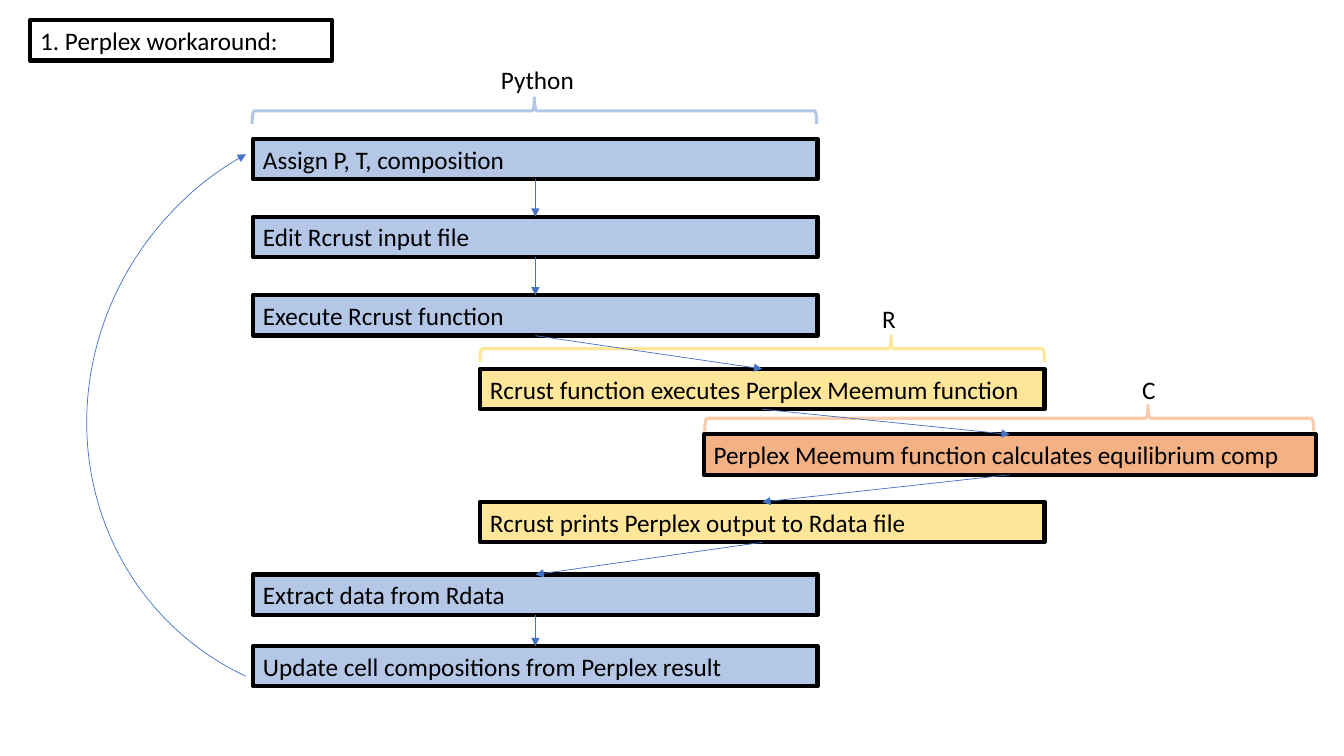
import pptx
import pptx.util
import pptx.dml.color
import pptx.enum.shapes
import pptx.enum.text
import lxml.etree
from pptx.util import Inches

BLUE, YELLOW, ORANGE, PEACH = "B4C7E7", "FFE699", "F4B183", "F8CBAD"
BLACK, ARROW = "000000", "4472C4"
ROW_HEIGHT = 0.4
DRAWING = "http://schemas.openxmlformats.org/drawingml/2006/main"


def set_line(shape, color, points, arrow=False):
    """Style an outline without shadow, optionally with an arrowhead at its end."""
    shape.line.color.rgb = pptx.dml.color.RGBColor.from_string(color)
    shape.line.width = pptx.util.Pt(points)
    if arrow:
        head = lxml.etree.SubElement(shape.line._get_or_add_ln(), f"{{{DRAWING}}}tailEnd")
        head.set("type", "triangle")


def add_text(page, text, left, top, width):
    box = page.shapes.add_textbox(Inches(left), Inches(top), Inches(width), Inches(ROW_HEIGHT))
    frame = box.text_frame
    frame.word_wrap = True
    frame.auto_size = pptx.enum.text.MSO_AUTO_SIZE.SHAPE_TO_FIT_TEXT
    span = frame.paragraphs[0].add_run()
    span.text = text
    for name, value in {"name": "Calibri", "size": pptx.util.Pt(18)}.items():
        setattr(span.font, name, value)
    span.font.color.rgb = pptx.dml.color.RGBColor.from_string(BLACK)
    return box


deck = pptx.Presentation()
deck.slide_width, deck.slide_height = Inches(13.33), Inches(7.5)
page = deck.slides.add_slide(deck.slide_layouts[6])

title = add_text(page, "1. Perplex workaround:", 0.3, 0.2, 2.99)
set_line(title, BLACK, 3)

# Each language has its own column: left, width, fill
columns = {"Python": (2.51, 5.6, BLUE), "R": (4.76, 5.6, YELLOW), "C": (6.98, 6.07, ORANGE)}
steps = [
    ("Python", 1.38, "Assign P, T, composition"),
    ("Python", 2.15, "Edit Rcrust input file"),
    ("Python", 2.93, "Execute Rcrust function"),
    ("R", 3.66, "Rcrust function executes Perplex Meemum function"),
    ("C", 4.31, "Perplex Meemum function calculates equilibrium comp"),
    ("R", 4.98, "Rcrust prints Perplex output to Rdata file"),
    ("Python", 5.7, "Extract data from Rdata"),
    ("Python", 6.41, "Update cell compositions from Perplex result"),
]
boxes = []
for language, top, text in steps:
    left, width, fill = columns[language]
    box = add_text(page, text, left, top, width)
    box.fill.solid()
    box.fill.fore_color.rgb = pptx.dml.color.RGBColor.from_string(fill)
    set_line(box, BLACK, 3)
    boxes.append(box)

# Braces turned to point up: left, top, length, colour, position of the point
braces = [
    (5.17, -1.7, 5.6, BLUE, 0.5),
    (7.43, 0.66, 5.6, YELLOW, 0.272),
    (9.88, 1.13, 6.04, PEACH, 0.272),
]
for left, top, length, color, point in braces:
    brace = page.shapes.add_shape(pptx.enum.shapes.MSO_SHAPE.LEFT_BRACE,
                                  Inches(left), Inches(top), Inches(0.26), Inches(length))
    brace.rotation = 90
    brace.adjustments[1] = point
    brace.fill.background()
    brace.shadow.inherit = False
    set_line(brace, color, 2.25)

for language, left, top, width in [("Python", 4.87, 0.59, 2.99), ("R", 8.65, 2.96, 2.99),
                                   ("C", 11.23, 3.66, 2.1)]:
    add_text(page, language, left, top, width)

for upper, lower in zip(boxes, boxes[1:]):
    link = page.shapes.add_connector(pptx.enum.shapes.MSO_CONNECTOR.STRAIGHT, 0, 0, 0, 0)
    link.begin_connect(upper, 2)
    link.end_connect(lower, 0)
    set_line(link, ARROW, 0.5, arrow=True)
    lxml.etree.SubElement(link._element.spPr, f"{{{DRAWING}}}effectLst")

loop = page.shapes.add_shape(pptx.enum.shapes.MSO_SHAPE.ARC,
                             Inches(0.92), Inches(1.09), Inches(5.68), Inches(5.94))
loop.rotation = 222.5
loop.adjustments[0], loop.adjustments[1] = 152.41, 11.97
loop.fill.background()
loop.shadow.inherit = False
set_line(loop, ARROW, 0.5, arrow=True)

deck.save("out.pptx")
